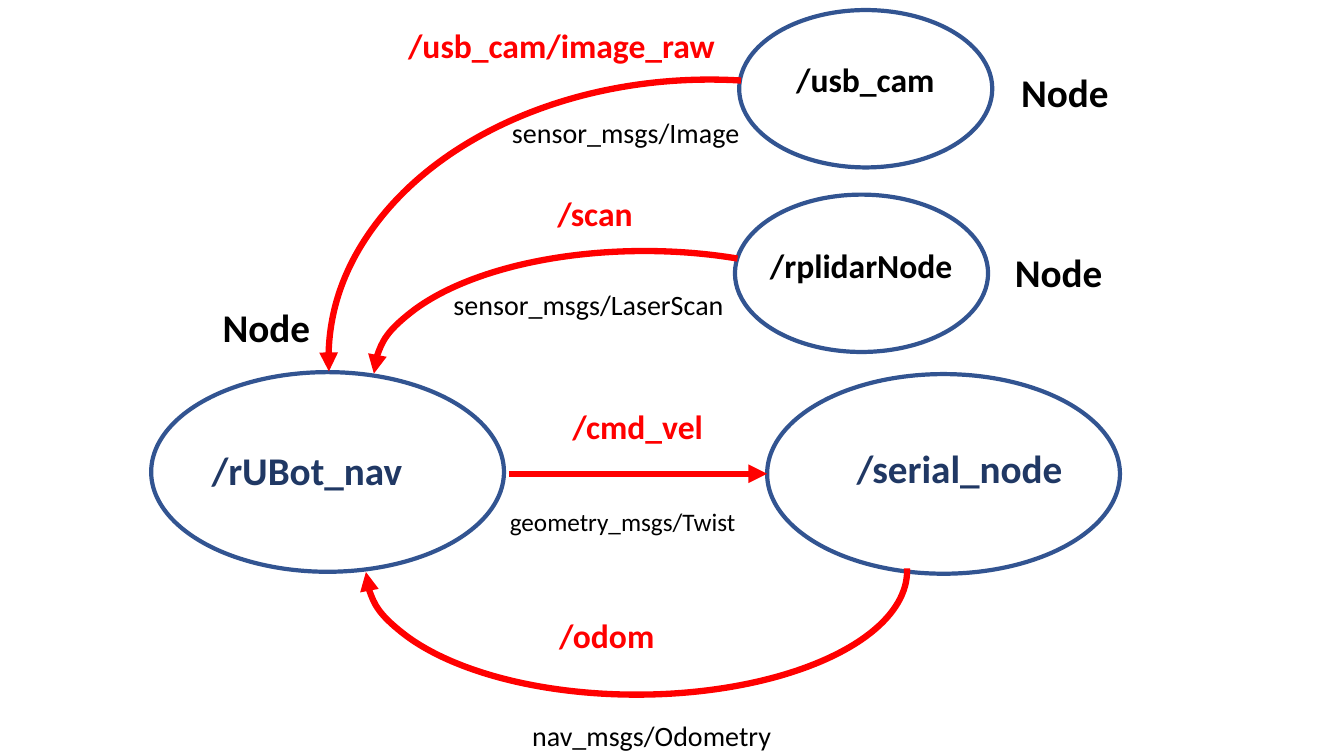
from lxml import etree
from pptx import Presentation
from pptx.dml.color import RGBColor
from pptx.enum.shapes import MSO_CONNECTOR, MSO_SHAPE
from pptx.enum.text import MSO_AUTO_SIZE
from pptx.oxml.ns import qn
from pptx.util import Pt

RED = RGBColor(0xFF, 0x00, 0x00)
BLUE = RGBColor(0x32, 0x54, 0x91)
NAVY = RGBColor(0x20, 0x38, 0x64)
BLACK = RGBColor(0x00, 0x00, 0x00)
OVAL = MSO_SHAPE.OVAL
ARC = MSO_SHAPE.ARC
LINE = MSO_CONNECTOR.STRAIGHT
GROW = MSO_AUTO_SIZE.SHAPE_TO_FIT_TEXT

deck = Presentation()
deck.slide_width, deck.slide_height = Pt(960), Pt(540)
slide = deck.slides.add_slide(deck.slide_layouts[6])
shapes = slide.shapes


def label(text, left, top, width, size=24, color=BLACK, bold=True):
    box = shapes.add_textbox(Pt(left), Pt(top), Pt(width), Pt(size * 1.2 + 7.2))
    frame = box.text_frame
    frame.word_wrap = False
    frame.auto_size = GROW
    run = frame.paragraphs[0].add_run()
    run.text = text
    run.font.name = "Calibri"
    run.font.size = Pt(size)
    run.font.bold = bold
    run.font.color.rgb = color


def arrow(shape):
    shape.line.color.rgb = RED
    shape.line.width = Pt(4.5)
    props = shape._element.spPr
    etree.SubElement(props.find(qn("a:ln")), qn("a:tailEnd"), type="triangle")
    if props.find(qn("a:effectLst")) is None:
        etree.SubElement(props, qn("a:effectLst"))


# Node ovals
for left, top, width, height in [
    (108, 265.8, 252, 142.6),
    (548, 267.2, 252, 142.6),
    (525, 139, 180.8, 112.4),
    (528, 7.2, 180.8, 112.4),
]:
    oval = shapes.add_shape(OVAL, Pt(left), Pt(top), Pt(width), Pt(height))
    oval.shadow.inherit = False
    oval.fill.background()
    oval.line.color.rgb = BLUE
    oval.line.width = Pt(3)

# Straight topic arrow
link = shapes.add_connector(LINE, Pt(363.6), Pt(338.4), Pt(548), Pt(338.4))
arrow(link)

# Curved topic arrows: frame, start and end in degrees, flipped or not
for left, top, width, height, start, end, flip in [
    (261.4, 319, 386.6, 177.2, 359.53, 179.7, False),
    (267.1, 179.3, 386.6, 177.2, 51.39, 179.7, True),
    (234.7, 56.9, 544.3, 398.9, 83.56, 181.89, True),
]:
    arc = shapes.add_shape(ARC, Pt(left), Pt(top), Pt(width), Pt(height))
    arc.shadow.inherit = False
    arc.fill.background()
    arc.adjustments[0] = start * 0.6
    arc.adjustments[1] = end * 0.6
    if flip:
        arc._element.spPr.find(qn("a:xfrm")).set("flipV", "1")
    arrow(arc)

# Node names
label("/rUBot_nav", 144, 315.4, 152.6, size=28, color=NAVY)
label("/serial_node", 604.8, 313.9, 163.4, size=28, color=NAVY)
label("/rplidarNode", 542.9, 171.4, 146.2)
label("/usb_cam", 561.6, 38.9, 114.5)

# Node tags
for left, top in [(151.9, 213.1), (717.8, 173.5), (722.2, 45.4)]:
    label("Node", left, top, 77.8, size=28)

# Topics
for text, left, top, width in [
    ("/usb_cam/image_raw", 284.4, 14.4, 236.2),
    ("/scan", 391, 134.6, 69.1),
    ("/cmd_vel", 401.8, 286.6, 108.7),
    ("/odom", 392.4, 435.6, 83.5),
]:
    label(text, left, top, width, color=RED)

# Message types
for text, left, top, width, size in [
    ("sensor_msgs/Image", 358.6, 79.2, 178.6, 20),
    ("sensor_msgs/LaserScan", 316.8, 201.6, 214.6, 20),
    ("geometry_msgs/Twist", 357.1, 357.8, 182.2, 18),
    ("nav_msgs/Odometry", 373, 509.8, 187.2, 20),
]:
    label(text, left, top, width, size=size, bold=False)

deck.save("out.pptx")
